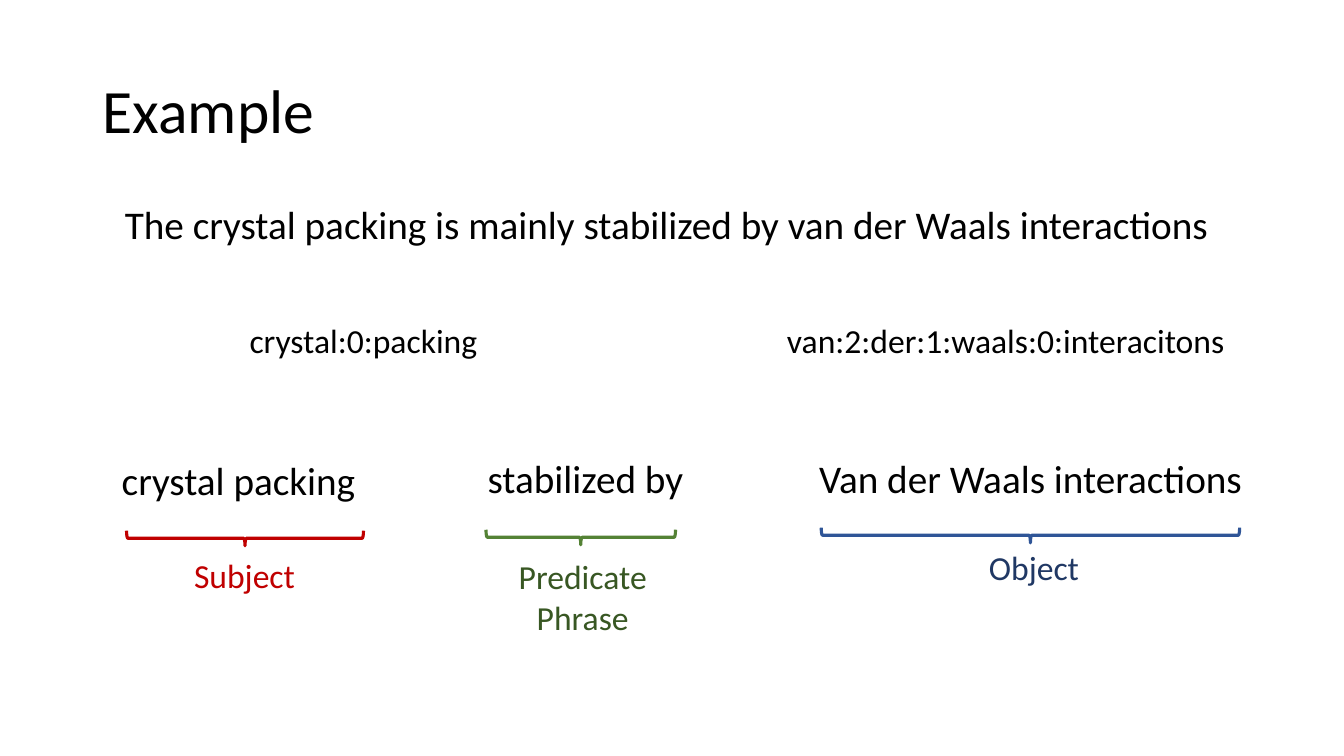
"""Build a slide that splits a sentence into subject, predicate and object."""
from pptx import Presentation
from pptx.dml.color import RGBColor
from pptx.enum import shapes, text
from pptx.util import Inches, Pt

LEFT, MID = text.PP_ALIGN.LEFT, text.PP_ALIGN.CENTER
TOP, HALF = text.MSO_ANCHOR.TOP, text.MSO_ANCHOR.MIDDLE
BLACK = "000000"

TITLE = ("Example", (0.92, 0.4, 11.5, 1.45))
LINE = ("The crystal packing is mainly stabilized by van der Waals interactions",
        (1.14, 1.94, 11.99, 0.57))
TOKENS = [
    ("crystal:0:packing", (2.13, 3.12, 2.95, 0.5)),
    ("van:2:der:1:waals:0:interacitons", (7.67, 3.12, 4.61, 0.5)),
]
PARTS = [
    dict(words="crystal packing", box=(1.04, 4.48, 2.65, 0.57),
         brace=(2.43, 5.34, 2.35), edge="C00000",
         role="Subject", tag=(1.82, 5.46, 1.21, 0.5), ink="C00000"),
    dict(words="stabilized by", box=(4.48, 4.46, 2.65, 0.57),
         brace=(5.76, 5.33, 1.88), edge="548235",
         role="Predicate Phrase", tag=(4.93, 5.47, 1.7, 0.9), ink="385723"),
    dict(words="Van der Waals interactions", box=(7.58, 4.46, 5.28, 0.57),
         brace=(10.22, 5.31, 4.15), edge="2F5597",
         role="Object", tag=(9.7, 5.38, 1.11, 0.83), ink="203864"),
]
DEPTH = 0.15


def color(code):
    """Turn a hex string into a colour."""
    return RGBColor.from_string(code)


def write(words, box, size, ink=BLACK, align=MID, anchor=TOP):
    """Place one text box."""
    frame = slide.shapes.add_textbox(*map(Inches, box)).text_frame
    frame.word_wrap, frame.vertical_anchor = True, anchor
    para = frame.paragraphs[0]
    para.alignment = align
    run = para.add_run()
    run.text = words
    for key, val in dict(name="Calibri", size=Pt(size)).items():
        setattr(run.font, key, val)
    run.font.color.rgb = color(ink)
    return para


def embrace(x, y, span, edge):
    """Draw a brace centred on x, y that opens upward over the span."""
    box = (x - DEPTH / 2, y - span / 2, DEPTH, span)
    brace = slide.shapes.add_shape(shapes.MSO_SHAPE.LEFT_BRACE, *map(Inches, box))
    brace.rotation = 270
    brace.shadow.inherit = False
    brace.fill.background()
    brace.line.color.rgb = color(edge)
    brace.line.width = Pt(2.25)


deck = Presentation()
deck.slide_width, deck.slide_height = Inches(13.33), Inches(7.5)
slide = deck.slides.add_slide(deck.slide_layouts[6])

write(*TITLE, 44, align=LEFT, anchor=HALF).line_spacing = 0.9
write(*LINE, 28, align=LEFT)
for token in TOKENS:
    write(*token, 24)
for part in PARTS:
    write(part["words"], part["box"], 28)
    embrace(*part["brace"], part["edge"])
    write(part["role"], part["tag"], 24, part["ink"])

deck.save("out.pptx")
